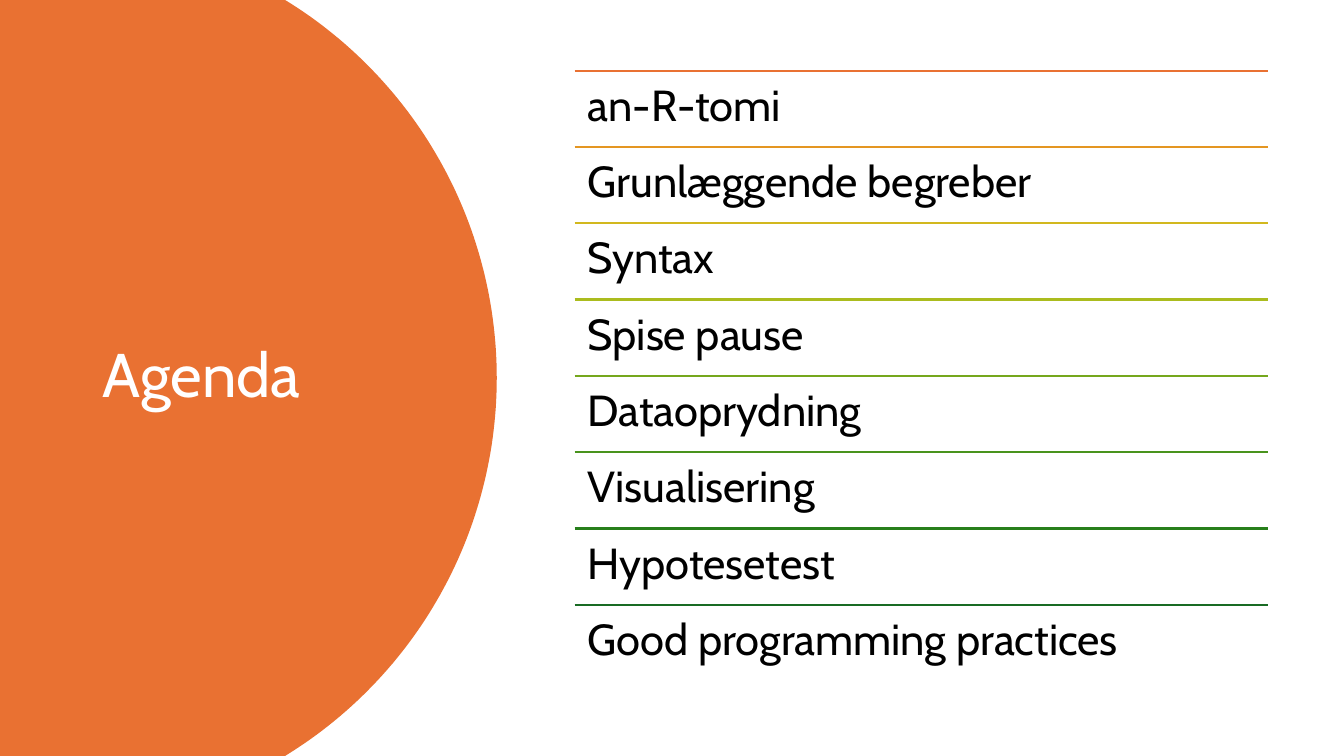
import math

import pptx
import pptx.dml.color
import pptx.enum.shapes
import pptx.enum.text
import pptx.oxml.ns
import pptx.util
from lxml import etree
from pptx.util import Cm

FONT = "Cabin"
SLIDE_WIDTH, SLIDE_HEIGHT = 33.87, 19.05

# Agenda list: geometry in centimetres
LIST_LEFT, LIST_WIDTH = 14.48, 17.48
FIRST_TOP, LAST_TOP = 1.78, 15.24
AGENDA = [
    ("an-R-tomi", "E97132"),
    ("Grunlæggende begreber", "E49622"),
    ("Syntax", "D2B81E"),
    ("Spise pause", "ABBC1E"),
    ("Dataoprydning", "75A71D"),
    ("Visualisering", "49931D"),
    ("Hypotesetest", "277F1B"),
    ("Good programming practices", "196B24"),
]


def color(hex_string):
    return pptx.dml.color.RGBColor.from_string(hex_string)


def add_half_disc(slide, center_x, radius, fill):
    """Fill the left side up to a circular arc that spans the slide height."""
    middle = SLIDE_HEIGHT / 2
    limit = math.asin(middle / radius)
    steps = 120
    angles = [limit * (2 * step / steps - 1) for step in range(steps + 1)]
    arc = [
        (Cm(center_x + radius * math.cos(angle)), Cm(middle + radius * math.sin(angle)))
        for angle in angles
    ]
    builder = slide.shapes.build_freeform(0, 0)
    builder.add_line_segments(arc + [(0, Cm(SLIDE_HEIGHT))], close=True)
    shape = builder.convert_to_shape()
    shape.shadow.inherit = False
    shape.fill.solid()
    shape.fill.fore_color.rgb = color(fill)
    shape.line.fill.background()


def add_text(slide, left, top, width, height, text, size, text_color, anchor, margins):
    box = slide.shapes.add_textbox(Cm(left), Cm(top), Cm(width), Cm(height))
    frame = box.text_frame
    frame.word_wrap = True
    frame.vertical_anchor = anchor
    frame.margin_left = frame.margin_right = Cm(margins[0])
    frame.margin_top = frame.margin_bottom = Cm(margins[1])
    frame.text = text
    paragraph = frame.paragraphs[0]
    paragraph.line_spacing = 0.9
    font = paragraph.runs[0].font
    font.name = FONT
    font.size = pptx.util.Pt(size)
    font.color.rgb = color(text_color)


def add_rule(slide, left, top, width, line_color):
    rule = slide.shapes.add_connector(
        pptx.enum.shapes.MSO_CONNECTOR.STRAIGHT,
        Cm(left), Cm(top), Cm(left + width), Cm(top),
    )
    rule.line.color.rgb = color(line_color)
    rule.line.width = pptx.util.Pt(1.5)
    etree.SubElement(rule._element.spPr, pptx.oxml.ns.qn("a:effectLst"))


def main():
    presentation = pptx.Presentation()
    presentation.slide_width = Cm(SLIDE_WIDTH)
    presentation.slide_height = Cm(SLIDE_HEIGHT)
    slide = presentation.slides.add_slide(presentation.slide_layouts[6])
    anchors = pptx.enum.text.MSO_ANCHOR

    # Title on the orange half disc
    add_half_disc(slide, 1.35, 11.17, "E97132")
    add_text(slide, 2.34, 1.78, 8.2, 15.47, "Agenda", 44, "FFFFFF",
             anchors.MIDDLE, (0.25, 0.13))

    # Agenda items, each under its own coloured rule
    pitch = (LAST_TOP - FIRST_TOP) / (len(AGENDA) - 1)
    for index, (item, rule_color) in enumerate(AGENDA):
        top = FIRST_TOP + index * pitch
        add_rule(slide, LIST_LEFT, top, LIST_WIDTH, rule_color)
        add_text(slide, LIST_LEFT, top, LIST_WIDTH, pitch, item, 31, "000000",
                 anchors.TOP, (0.33, 0.33))

    presentation.save("out.pptx")


if __name__ == "__main__":
    main()
